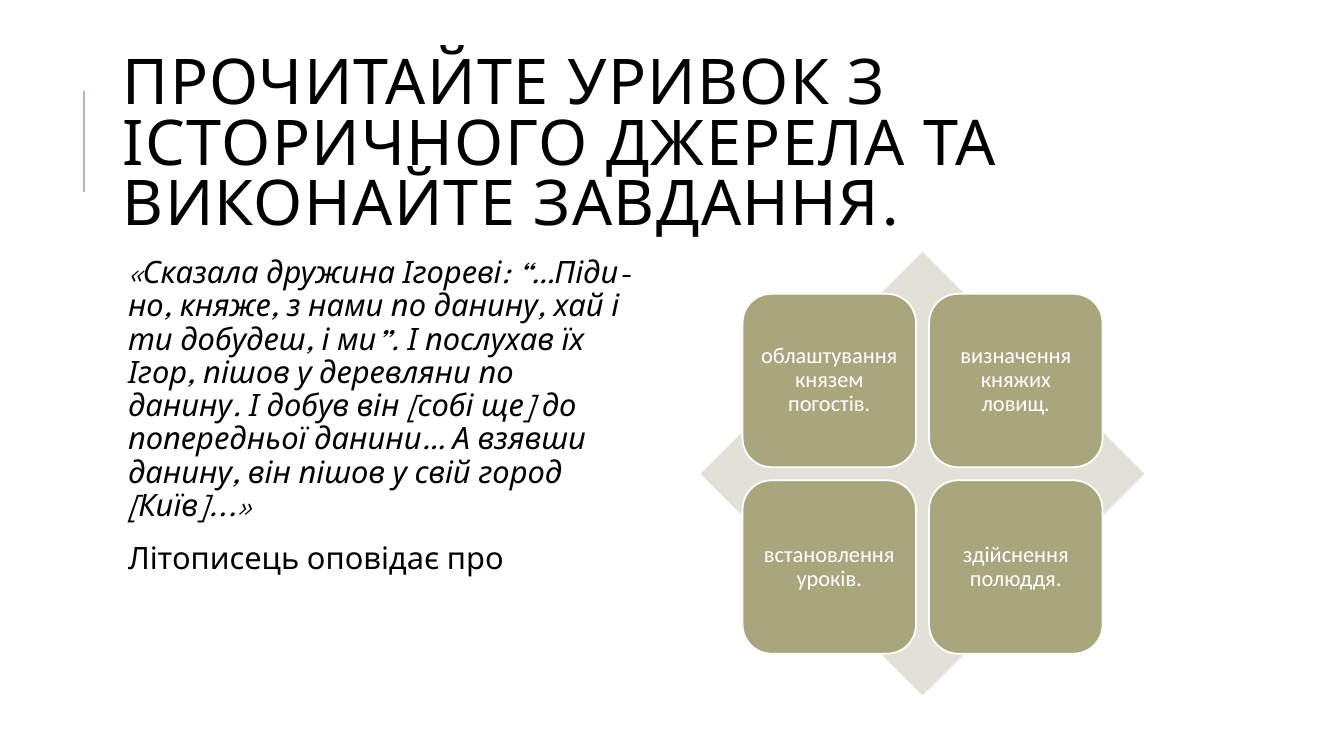
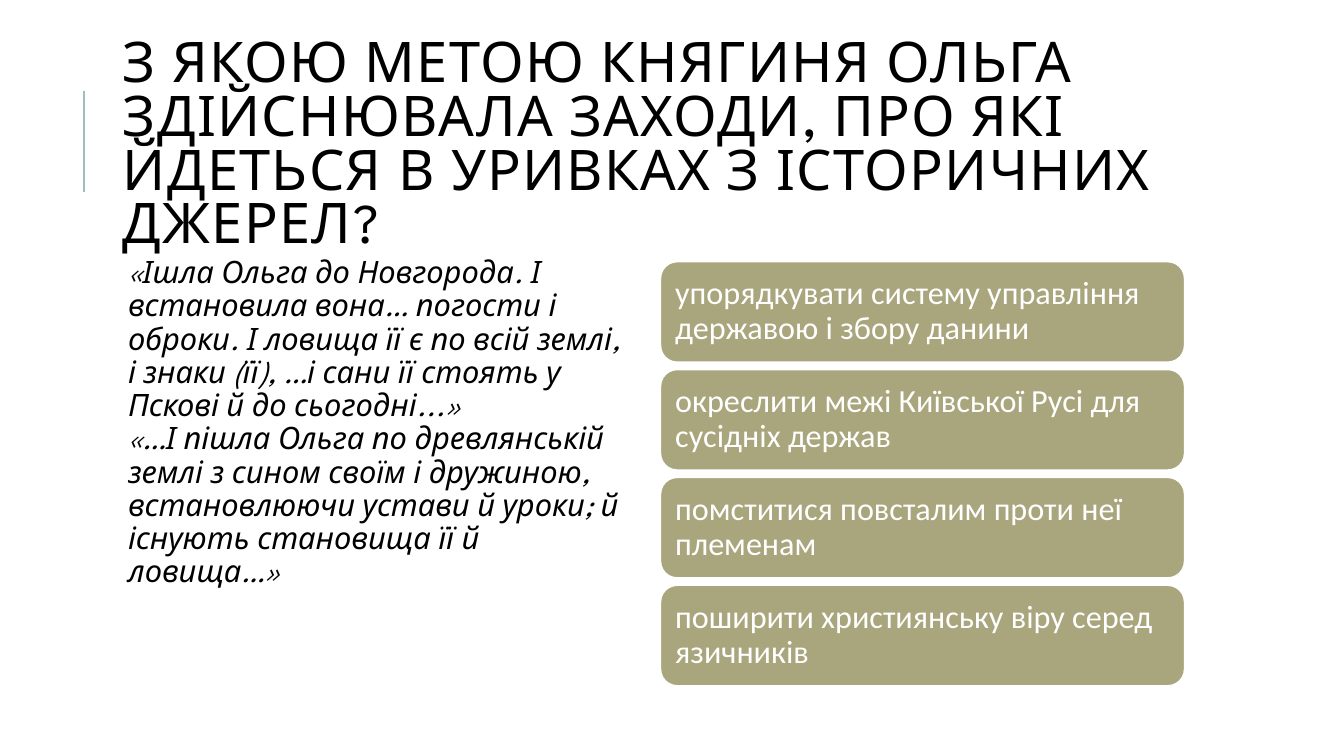
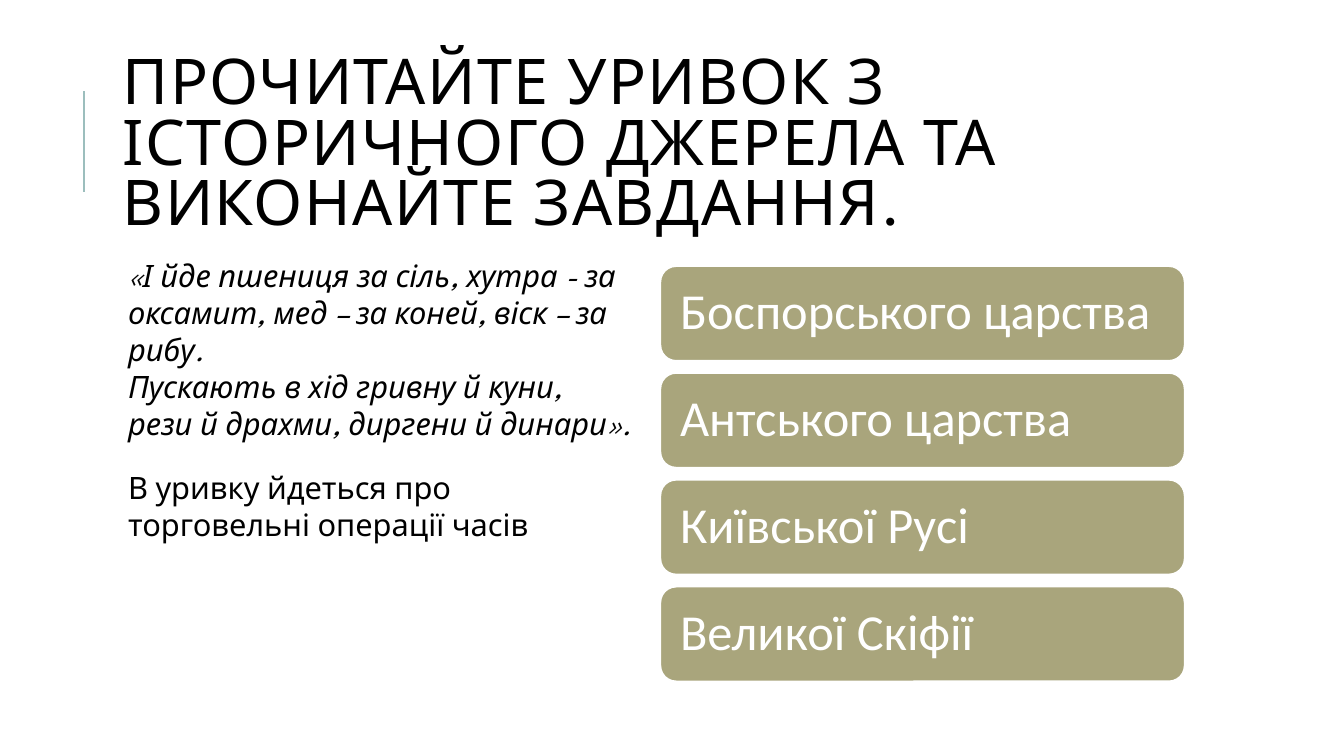
from lxml.etree import SubElement
from pptx import Presentation
from pptx.dml.color import RGBColor
from pptx.enum.shapes import MSO_CONNECTOR, MSO_SHAPE
from pptx.enum.text import MSO_ANCHOR, PP_ALIGN
from pptx.oxml.ns import qn
from pptx.util import Inches, Pt

COLORS = {"text": "000000", "accent": "9CBEBD", "card": "A9A57C",
          "diamond": "E2E1D7", "white": "FFFFFF"}
TEXT_FONT, CARD_FONT = "League Spartan", "Calibri"

# Centre of the answer panel and side of the square it fills
PANEL_X, PANEL_Y, PANEL_SIDE = 9.15, 4.7, 4.4

SOURCE_TITLE = "ПРОЧИТАЙТЕ УРИВОК З ІСТОРИЧНОГО ДЖЕРЕЛА ТА ВИКОНАЙТЕ ЗАВДАННЯ."

# Body paragraphs are (text, italic); cards share one size and gap per slide
SLIDES = [
    {
        "title": SOURCE_TITLE, "title_size": 45,
        "body": [
            ("«Сказала дружина Ігореві: “…Піди-но, княже, з нами по данину, хай і ти "
             "добудеш, і ми”. І послухав їх Ігор, пішов у деревляни по данину. І добув "
             "він [собі ще] до попередньої данини… А взявши данину, він пішов у свій "
             "город [Київ]...»", True),
            ("Літописець оповідає про", False),
        ],
        "line_spacing": 0.9, "space_after": 2,
        "answers": ["облаштування князем погостів.", "визначення княжих ловищ.",
                    "встановлення уроків.", "здійснення полюддя."],
        "cards": {"columns": 2, "width": 1.72, "height": 1.72, "gap": 0.13,
                  "inset": 0.07, "size": 16, "align": PP_ALIGN.CENTER},
        "diamond": True,
    },
    {
        "title": "З ЯКОЮ МЕТОЮ КНЯГИНЯ ОЛЬГА ЗДІЙСНЮВАЛА ЗАХОДИ, ПРО ЯКІ ЙДЕТЬСЯ "
                 "В УРИВКАХ З ІСТОРИЧНИХ ДЖЕРЕЛ?",
        "title_size": 40,
        "body": [
            ("«Ішла Ольга до Новгорода. І встановила вона… погости і оброки. І ловища "
             "її є по всій землі, і знаки (її), …і сани її стоять у Пскові й до "
             "сьогодні...»\n«…І пішла Ольга по древлянській землі з сином своїм і "
             "дружиною, встановлюючи устави й уроки; й існують становища її й "
             "ловища…»", True),
        ],
        "line_spacing": 0.9, "space_after": 2,
        "answers": ["упорядкувати систему управління державою і збору данини",
                    "окреслити межі Київської Русі для сусідніх держав",
                    "помститися повсталим проти неї племенам",
                    "поширити християнську віру серед язичників"],
        "cards": {"columns": 1, "width": 5.2, "height": 1, "gap": 0.07,
                  "inset": 0.1, "size": 23, "align": PP_ALIGN.LEFT},
        "diamond": False,
    },
    {
        "title": SOURCE_TITLE, "title_size": 45,
        "body": [
            ("«І йде пшениця за сіль, хутра - за оксамит, мед – за коней, віск – за "
             "рибу.\nПускають в хід гривну й куни, рези й драхми, диргени й динари».",
             True),
            ("В уривку йдеться про торговельні операції часів", False),
        ],
        "line_spacing": 1.0, "space_after": 7.5,
        "answers": ["Боспорського царства", "Антського царства",
                    "Київської Русі", "Великої Скіфії"],
        "cards": {"columns": 1, "width": 5.2, "height": 0.94, "gap": 0.12,
                  "inset": 0.15, "size": 36, "align": PP_ALIGN.LEFT},
        "diamond": False,
    },
]


def color(name):
    return RGBColor.from_string(COLORS[name])


def add_text(paragraph, text, font, size, color_name, italic=False, tracking=0):
    """Add one run per line of text, with line breaks between them."""
    for index, line in enumerate(text.split("\n")):
        if index:
            paragraph.add_line_break()
        run = paragraph.add_run()
        run.text = line
        run.font.name = font
        run.font.size = Pt(size)
        run.font.italic = italic
        run.font.color.rgb = color(color_name)
        if tracking:
            run.font._element.set("spc", str(tracking * 100))


def set_frame(frame, anchor, left, top, right, bottom):
    frame.word_wrap = True
    frame.vertical_anchor = anchor
    frame.margin_left, frame.margin_top = Inches(left), Inches(top)
    frame.margin_right, frame.margin_bottom = Inches(right), Inches(bottom)


def add_title(slide, text, size):
    # Accent rule beside the title
    rule = slide.shapes.add_connector(MSO_CONNECTOR.STRAIGHT, Inches(0.83), Inches(1.9),
                                      Inches(0.83), Inches(0.9))
    rule.line.color.rgb = color("accent")
    rule.line.width = Pt(1.5)
    SubElement(rule._element.spPr, qn("a:effectLst"))

    box = slide.shapes.add_textbox(Inches(1.12), Inches(0.64), Inches(10.63), Inches(1.64))
    set_frame(box.text_frame, MSO_ANCHOR.MIDDLE, 0.1, 0.05, 0.1, 0.05)
    paragraph = box.text_frame.paragraphs[0]
    paragraph.line_spacing = 0.8
    add_text(paragraph, text, TEXT_FONT, size, "text", tracking=1)


def add_body(slide, content):
    box = slide.shapes.add_textbox(Inches(1.12), Inches(2.5), Inches(5.2), Inches(4.4))
    frame = box.text_frame
    set_frame(frame, MSO_ANCHOR.TOP, 0.15, 0.05, 0.05, 0.05)
    for index, (text, italic) in enumerate(content["body"]):
        paragraph = frame.add_paragraph() if index else frame.paragraphs[0]
        paragraph.line_spacing = content["line_spacing"]
        paragraph.space_before = Pt(12 if index else 0)
        paragraph.space_after = Pt(content["space_after"])
        add_text(paragraph, text, TEXT_FONT, 22, "text", italic)


def add_filled_shape(slide, kind, left, top, width, height, fill):
    shape = slide.shapes.add_shape(kind, Inches(left), Inches(top),
                                   Inches(width), Inches(height))
    shape.shadow.inherit = False
    shape.fill.solid()
    shape.fill.fore_color.rgb = color(fill)
    shape.line.fill.background()
    return shape


def add_cards(slide, answers, cards):
    """Lay the answers out in a grid centred on the panel."""
    columns, gap = cards["columns"], cards["gap"]
    rows = len(answers) // columns
    step_x, step_y = cards["width"] + gap, cards["height"] + gap
    left = PANEL_X - (columns * step_x - gap) / 2
    top = PANEL_Y - (rows * step_y - gap) / 2
    for index, answer in enumerate(answers):
        row, column = divmod(index, columns)
        card = add_filled_shape(slide, MSO_SHAPE.ROUNDED_RECTANGLE,
                                left + column * step_x, top + row * step_y,
                                cards["width"], cards["height"], "card")
        card.line.color.rgb = color("white")
        card.line.width = Pt(1.25)
        set_frame(card.text_frame, MSO_ANCHOR.MIDDLE, *[cards["inset"]] * 4)
        paragraph = card.text_frame.paragraphs[0]
        paragraph.alignment = cards["align"]
        paragraph.line_spacing = 0.9
        add_text(paragraph, answer, CARD_FONT, cards["size"], "white")


def main():
    presentation = Presentation()
    presentation.slide_width, presentation.slide_height = Inches(13.33), Inches(7.5)
    for content in SLIDES:
        slide = presentation.slides.add_slide(presentation.slide_layouts[6])
        add_title(slide, content["title"], content["title_size"])
        add_body(slide, content)
        if content["diamond"]:
            add_filled_shape(slide, MSO_SHAPE.DIAMOND, PANEL_X - PANEL_SIDE / 2,
                             PANEL_Y - PANEL_SIDE / 2, PANEL_SIDE, PANEL_SIDE, "diamond")
        add_cards(slide, content["answers"], content["cards"])
    presentation.save("out.pptx")


if __name__ == "__main__":
    main()
